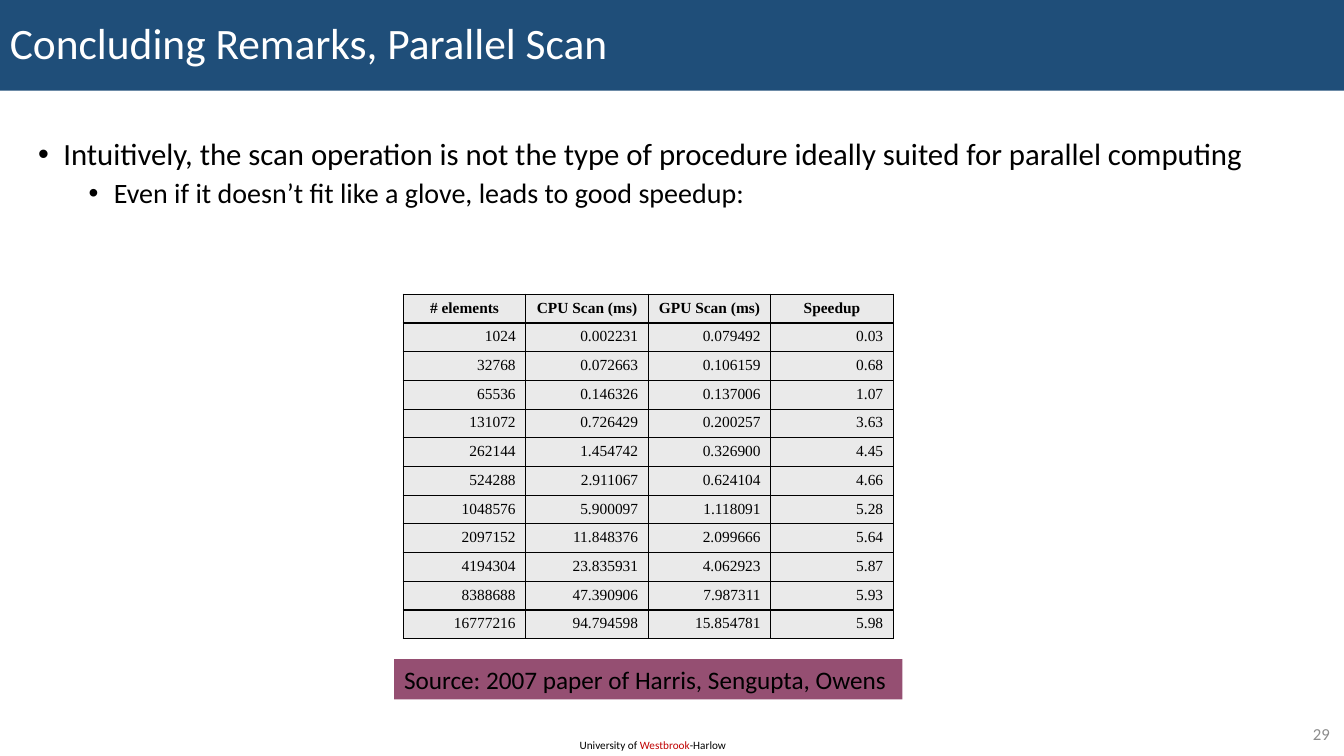
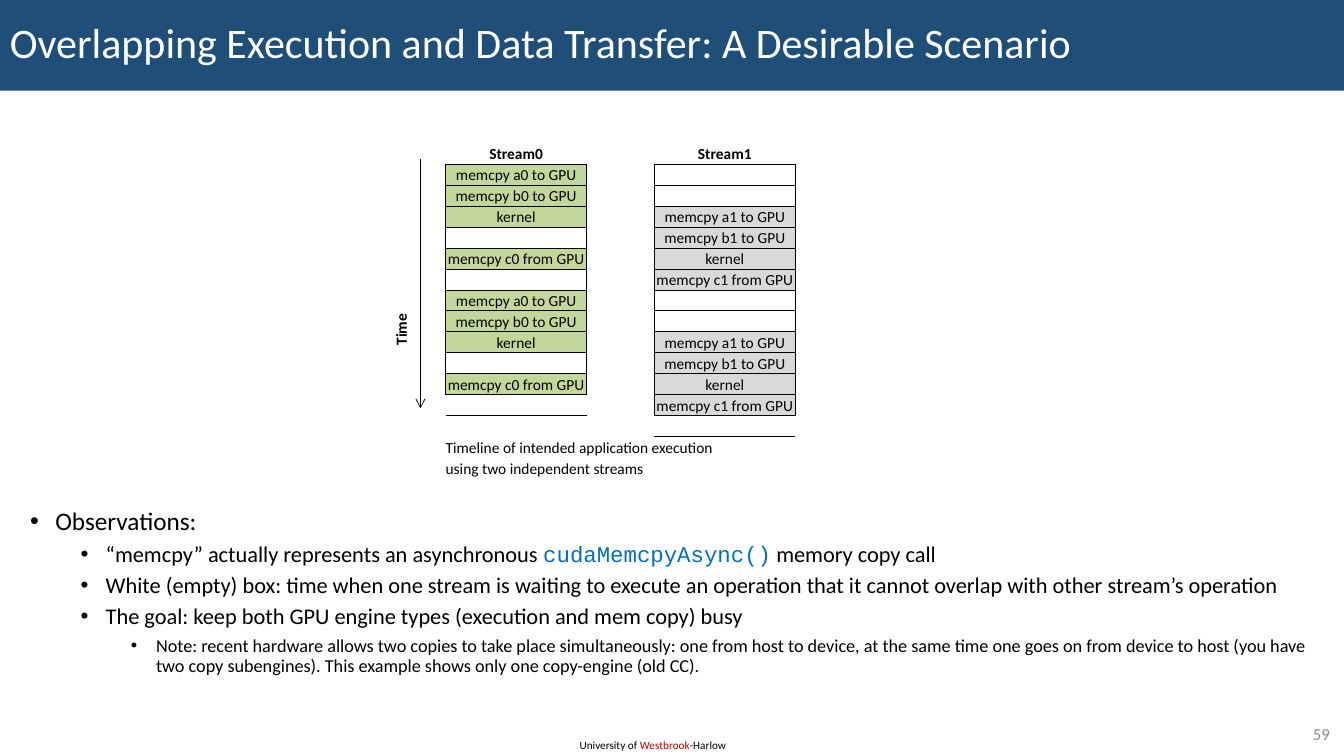
from lxml import etree
from pptx import Presentation
from pptx.dml.color import RGBColor
from pptx.enum.shapes import MSO_CONNECTOR, MSO_SHAPE
from pptx.enum.text import MSO_ANCHOR, PP_ALIGN
from pptx.oxml.ns import qn
from pptx.util import Inches, Pt

RECTANGLE = MSO_SHAPE.RECTANGLE
STRAIGHT = MSO_CONNECTOR.STRAIGHT
TOP, MIDDLE, BOTTOM = MSO_ANCHOR.TOP, MSO_ANCHOR.MIDDLE, MSO_ANCHOR.BOTTOM
LEFT, CENTER, RIGHT = PP_ALIGN.LEFT, PP_ALIGN.CENTER, PP_ALIGN.RIGHT

NAVY, WHITE, BLACK = "1F4E79", "FFFFFF", "000000"
RED, BLUE, PLUM = "C00000", "0070C0", "954F72"
GRAY, PALE, SILVER, GREEN = "8C8C8C", "EAEAEA", "D9D9D9", "C4D79B"
PLAIN_TABLE = "{2D5ABB26-0587-4C30-8999-92F81FD0307C}"
EDGES = {"a:lnL": (0, -1), "a:lnR": (0, 1), "a:lnT": (-1, 0), "a:lnB": (1, 0)}


def rgb(value):
    return RGBColor.from_string(value)


def set_attributes(target, values):
    for name, value in values.items():
        setattr(target, name, value)


class Deck:
    font = "Calibri"
    footer = [("University of ", {}), ("Westbrook", {"color": RED}), ("-Harlow", {})]

    def __init__(self):
        self.presentation = Presentation()
        set_attributes(self.presentation, {"slide_width": Inches(13.33), "slide_height": Inches(7.5)})
        self.slide = None

    def new_slide(self, title, title_size, number):
        self.slide = self.presentation.slides.add_slide(self.presentation.slide_layouts[6])
        self.text((5.65, 7.28, 1.72, 0.24), self.footer, size=8)
        self.rectangle((0, 0, 13.33, 0.9), NAVY, title, size=title_size, color=WHITE,
                       anchor=MIDDLE, line_spacing=0.9)
        self.text((12.53, 7.13, 0.76, 0.29), str(number), size=12, color=GRAY,
                  align=RIGHT, anchor=MIDDLE)

    def add_runs(self, paragraph, content, size, color=BLACK, bold=False, align=LEFT,
                 font=None, **spacing):
        set_attributes(paragraph, {"alignment": align, **spacing})
        runs = [(content, {})] if isinstance(content, str) else content
        for text, changes in runs:
            run = paragraph.add_run()
            run.text = text
            set_attributes(run.font, {"name": changes.get("font", font or self.font),
                                      "size": Pt(size), "bold": bold})
            run.font.color.rgb = rgb(changes.get("color", color))

    def fill_frame(self, frame, content, anchor=TOP, wrap=True, **style):
        set_attributes(frame, {"word_wrap": wrap, "vertical_anchor": anchor})
        self.add_runs(frame.paragraphs[0], content, **style)

    def text(self, box, content, rotation=0, **style):
        shape = self.slide.shapes.add_textbox(*map(Inches, box))
        shape.rotation = rotation
        self.fill_frame(shape.text_frame, content, **style)

    def rectangle(self, box, color_fill, content, **style):
        shape = self.slide.shapes.add_shape(RECTANGLE, *map(Inches, box))
        shape.shadow.inherit = False
        shape.fill.solid()
        shape.fill.fore_color.rgb = rgb(color_fill)
        shape.line.fill.background()
        self.fill_frame(shape.text_frame, content, **style)

    def bullets(self, box, items):
        frame = self.slide.shapes.add_textbox(*map(Inches, box)).text_frame
        frame.word_wrap = True
        for index, (level, size, content) in enumerate(items):
            paragraph = frame.add_paragraph() if index else frame.paragraphs[0]
            self.add_runs(paragraph, content, size, level=level, line_spacing=0.9,
                          space_before=Pt(5 if level else 10))
            properties = paragraph._p.get_or_add_pPr()
            properties.set("marL", str(Inches(0.25 + 0.5 * level)))
            properties.set("indent", str(Inches(-0.25)))
            etree.SubElement(properties, qn("a:buFont"), typeface="Arial")
            etree.SubElement(properties, qn("a:buChar"), char="•")

    def table(self, left, top, widths, row_height, row_count):
        frame = self.slide.shapes.add_table(row_count, len(widths), Inches(left), Inches(top),
                                            Inches(sum(widths)), Inches(row_height * row_count))
        table = frame.table
        set_attributes(table, {"first_row": False, "horz_banding": False})
        table._tbl.tblPr.find(qn("a:tableStyleId")).text = PLAIN_TABLE
        for column, width in zip(table.columns, widths):
            column.width = Inches(width)
        for row in table.rows:
            row.height = Inches(row_height)
        return table

    def cell(self, cell, content, color_fill=None, margins=None, anchor=TOP, **style):
        set_attributes(cell, {"vertical_anchor": anchor, **(margins or {})})
        if color_fill:
            cell.fill.solid()
            cell.fill.fore_color.rgb = rgb(color_fill)
        else:
            cell.fill.background()
        paragraph = cell.text_frame.paragraphs[0]
        if content:
            self.add_runs(paragraph, content, **style)
        else:
            paragraph._p.get_or_add_endParaRPr().set("sz", str(style["size"] * 100))

    def borders(self, table, boxed, width):
        for row in range(len(table.rows)):
            for column in range(len(table.columns)):
                properties = table.cell(row, column)._tc.get_or_add_tcPr()
                position = 0
                for edge, (down, across) in EDGES.items():
                    if (row, column) in boxed or (row + down, column + across) in boxed:
                        line = etree.Element(qn(edge), w=str(Pt(width)))
                        fill = etree.SubElement(line, qn("a:solidFill"))
                        etree.SubElement(fill, qn("a:srgbClr"), val=BLACK)
                        properties.insert(position, line)
                        position += 1

    def arrow(self, start, end, width):
        connector = self.slide.shapes.add_connector(STRAIGHT, *map(Inches, start + end))
        connector.line.color.rgb = rgb(BLACK)
        connector.line.width = Pt(width)
        properties = connector._element.spPr
        etree.SubElement(properties.find(qn("a:ln")), qn("a:tailEnd"), type="arrow")
        etree.SubElement(properties, qn("a:effectLst"))


def scan_slide(deck):
    deck.new_slide("Concluding Remarks, Parallel Scan", 31, 29)
    deck.bullets((0.28, 1.33, 12.89, 1.45), [
        (0, 22, "Intuitively, the scan operation is not the type of procedure ideally suited "
                "for parallel computing"),
        (1, 20, "Even if it doesn’t fit like a glove, leads to good speedup:"),
    ])
    rows = [
        ("# elements", "CPU Scan (ms)", "GPU Scan (ms)", "Speedup"),
        ("1024", "0.002231", "0.079492", "0.03"),
        ("32768", "0.072663", "0.106159", "0.68"),
        ("65536", "0.146326", "0.137006", "1.07"),
        ("131072", "0.726429", "0.200257", "3.63"),
        ("262144", "1.454742", "0.326900", "4.45"),
        ("524288", "2.911067", "0.624104", "4.66"),
        ("1048576", "5.900097", "1.118091", "5.28"),
        ("2097152", "11.848376", "2.099666", "5.64"),
        ("4194304", "23.835931", "4.062923", "5.87"),
        ("8388688", "47.390906", "7.987311", "5.93"),
        ("16777216", "94.794598", "15.854781", "5.98"),
    ]
    table = deck.table(4, 2.92, [4.86 / 4] * 4, 3.42 / len(rows), len(rows))
    boxed = set()
    for row, values in enumerate(rows):
        for column, value in enumerate(values):
            deck.cell(table.cell(row, column), value, PALE, size=11, font="Times New Roman",
                      bold=row == 0, align=RIGHT if row else CENTER)
            boxed.add((row, column))
    deck.borders(table, boxed, 1)
    deck.rectangle((3.91, 6.54, 5.04, 0.4), PLUM, "Source: 2007 paper of Harris, Sengupta, Owens",
                   size=18, wrap=False)


def streams_slide(deck):
    deck.new_slide("Overlapping Execution and Data Transfer: A Desirable Scenario", 30, 59)
    deck.bullets((0.2, 5, 12.89, 2.29), [
        (0, 18, "Observations:"),
        (1, 16, [("“memcpy” actually represents an asynchronous ", {}),
                 ("cudaMemcpyAsync()", {"font": "Courier New", "color": BLUE}),
                 (" memory copy call", {})]),
        (1, 16, "White (empty) box: time when one stream is waiting to execute an operation "
                "that it cannot overlap with other stream’s operation"),
        (1, 16, "The goal: keep both GPU engine types (execution and mem copy) busy"),
        (2, 13, "Note: recent hardware allows two copies to take place simultaneously: one from "
                "host to device, at the same time one goes on from device to host (you have two "
                "copy subengines). This example shows only one copy-engine (old CC)."),
    ])
    first = ["memcpy a0 to GPU", "memcpy b0 to GPU", "kernel", "", "memcpy c0 from GPU", ""] * 2
    second = ["", "", "memcpy a1 to GPU", "memcpy b1 to GPU", "kernel", "memcpy c1 from GPU"] * 2
    streams = {1: ("Stream0", first[:-1], GREEN), 3: ("Stream1", second, SILVER)}
    captions = {14: "Timeline of intended application execution",
                15: "using two independent streams"}
    contents = {(row, 1): caption for row, caption in captions.items()}
    boxed = {}
    for column, (name, steps, color) in streams.items():
        contents[0, column] = name
        for row, step in enumerate(steps, 1):
            contents[row, column] = step
            boxed[row, column] = color if step else None

    row_count = 17
    table = deck.table(3.75, 1.42, [0.67, 1.4] * 2, 3.54 / row_count, row_count)
    margins = {f"margin_{side}": Inches(0) for side in ("left", "right", "top", "bottom")}
    for row in range(row_count):
        for column in range(4):
            deck.cell(table.cell(row, column), contents.get((row, column)),
                      boxed.get((row, column)), margins, BOTTOM, size=11, bold=row == 0,
                      align=LEFT if row in captions else CENTER)
    for row in captions:
        table.cell(row, 1).merge(table.cell(row, 3))
    deck.borders(table, boxed, 0.5)
    deck.arrow((4.17, 1.58), (4.17, 4.05), 0.5)
    deck.text((3.47, 2.89, 1, 0.27), "Time", rotation=270, size=11, bold=True)


def main():
    deck = Deck()
    scan_slide(deck)
    streams_slide(deck)
    deck.presentation.save("out.pptx")


if __name__ == "__main__":
    main()
